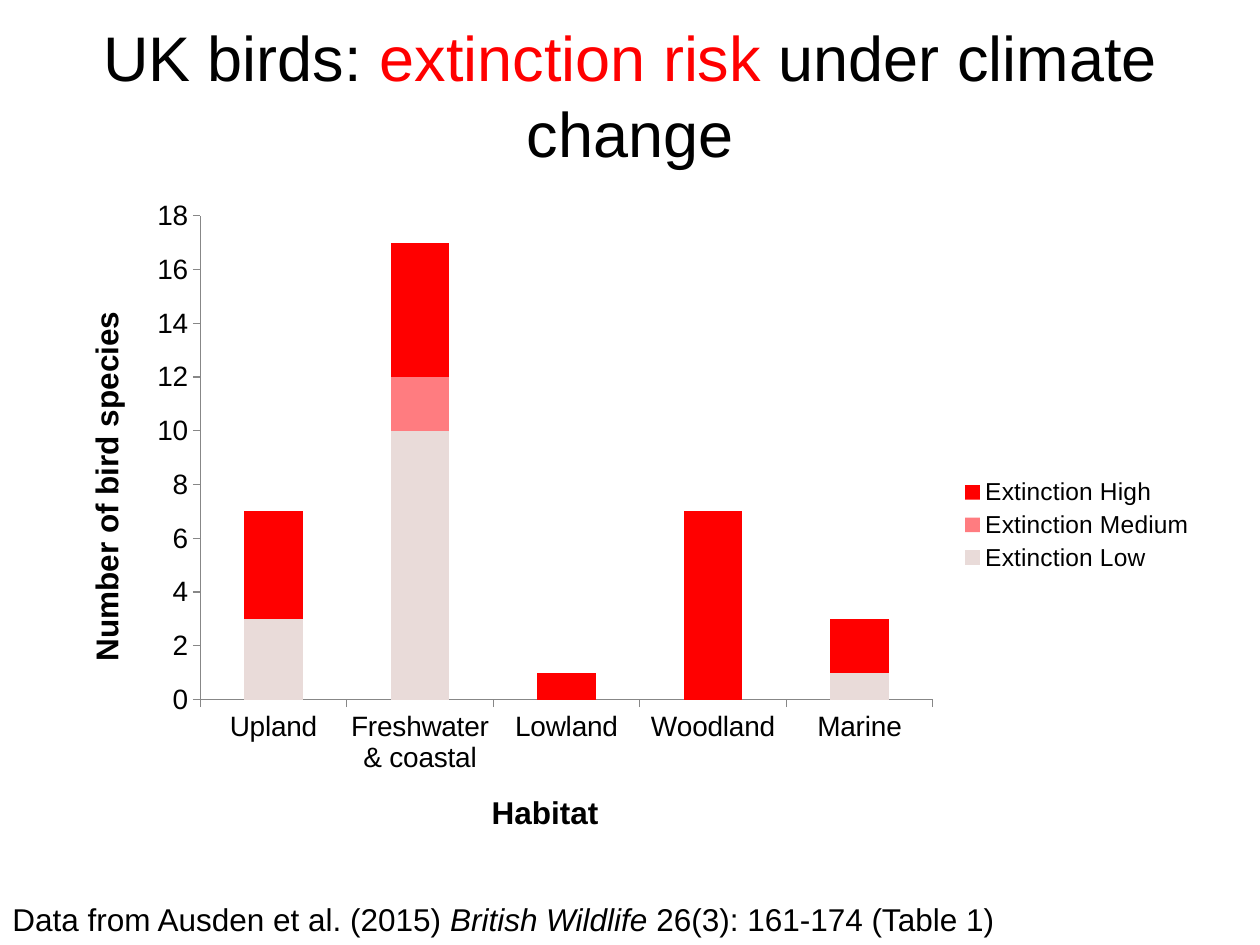
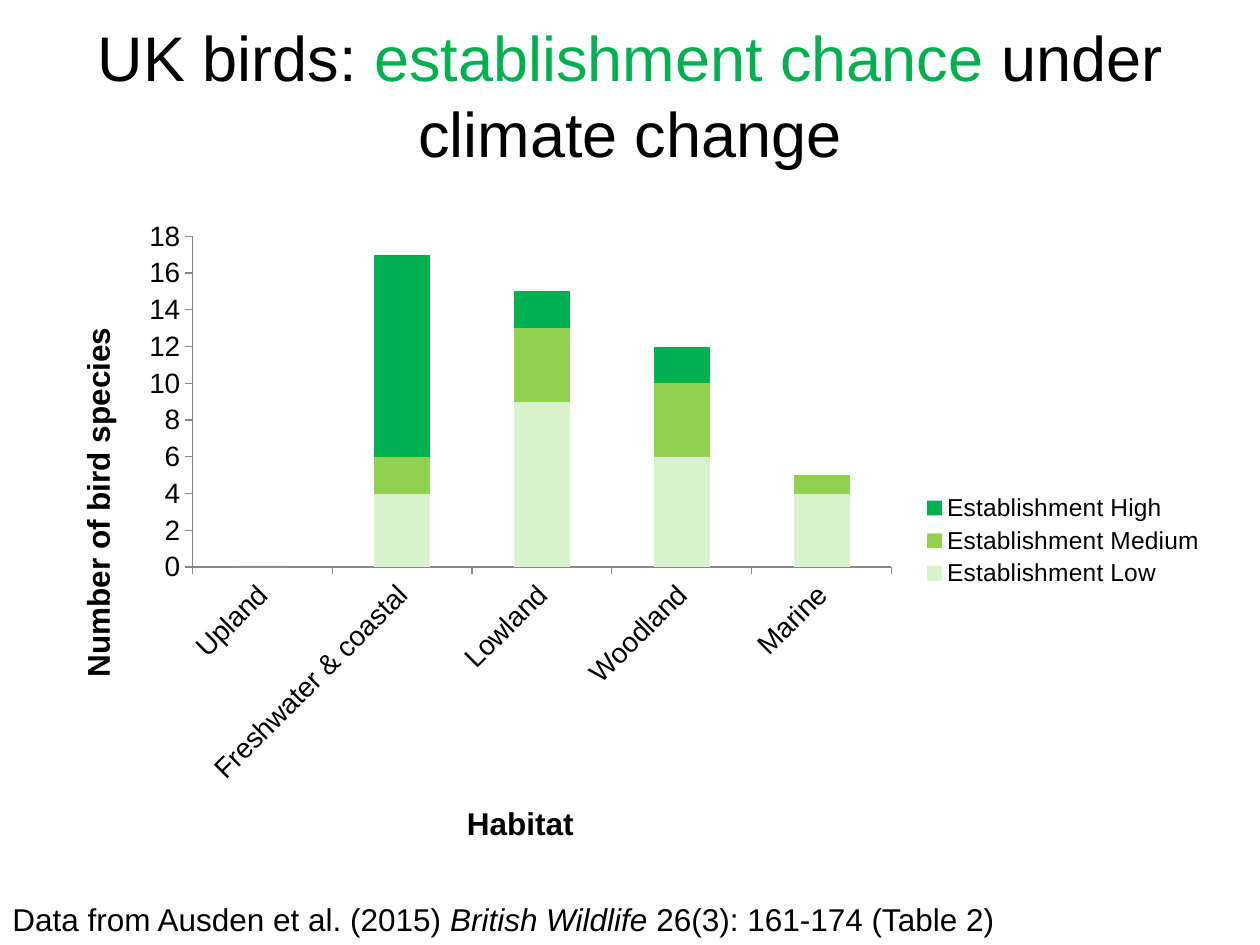
from lxml.etree import SubElement
from pptx import Presentation
from pptx.chart.data import CategoryChartData
from pptx.dml.color import RGBColor
from pptx.enum.chart import XL_CHART_TYPE, XL_LEGEND_POSITION, XL_TICK_MARK
from pptx.enum.text import MSO_ANCHOR, MSO_AUTO_SIZE, PP_ALIGN
from pptx.oxml.ns import qn
from pptx.util import Pt

FONT = "Arial"
BLACK = "000000"
AXIS_GREY = "878787"
HABITATS = ["Upland", "Freshwater & coastal", "Lowland", "Woodland", "Marine"]
LEVELS = ["Low", "Medium", "High"]


def colour(value):
    return RGBColor.from_string(value)


def apply(target, values):
    for name, value in values.items():
        setattr(target, name, value)


def style_font(font, size, shade=BLACK, **values):
    apply(font, {"name": FONT, "size": Pt(size), **values})
    font.color.rgb = colour(shade)


class BirdDeck:
    def __init__(self):
        self.deck = Presentation()
        apply(self.deck, {"slide_width": Pt(720), "slide_height": Pt(540)})
        self.page = None

    def add_page(self):
        self.page = self.deck.slides.add_slide(self.deck.slide_layouts[6])

    def add_text(self, place, spans, size, align, frame_values):
        box = self.page.shapes.add_textbox(*map(Pt, place))
        apply(box.text_frame, frame_values)
        para = box.text_frame.paragraphs[0]
        para.alignment = align
        for text, shade, italic in spans:
            span = para.add_run()
            span.text = text
            style_font(span.font, size, shade, italic=italic)

    def add_title(self, topic, shade):
        spans = [("UK birds: ", BLACK, False), (topic, shade, False),
                 (" under climate change", BLACK, False)]
        self.add_text((36, 12, 648, 84), spans, 36, PP_ALIGN.CENTER,
                      {"word_wrap": True, "vertical_anchor": MSO_ANCHOR.MIDDLE})

    def add_citation(self, table):
        spans = [("Data from Ausden et al. (2015) ", BLACK, False),
                 ("British Wildlife", BLACK, True),
                 (f" 26(3): 161-174 (Table {table})", BLACK, False)]
        self.add_text((0, 511, 581, 29), spans, 18, PP_ALIGN.LEFT,
                      {"word_wrap": False, "auto_size": MSO_AUTO_SIZE.SHAPE_TO_FIT_TEXT})

    def style_axis(self, axis, title, title_angle, label_angle):
        apply(axis, {"has_major_gridlines": False,
                     "major_tick_mark": XL_TICK_MARK.OUTSIDE,
                     "minor_tick_mark": XL_TICK_MARK.NONE})
        axis.format.line.color.rgb = colour(AXIS_GREY)
        axis.format.line.width = Pt(0.75)
        style_font(axis.tick_labels.font, 16)
        frame = axis.axis_title.text_frame
        span = frame.paragraphs[0].add_run()
        span.text = title
        style_font(span.font, 18, bold=True)
        labels = axis._element.find(qn("c:txPr"))
        for element, angle in ((labels, label_angle), (frame._txBody, title_angle)):
            body = element.find(qn("a:bodyPr"))
            body.set("rot", str(angle * 60000))
            body.set("vert", "horz")

    def place_plot(self, chart, area):
        plot_area = chart._chartSpace.chart.plotArea
        for old in plot_area.findall(qn("c:layout")):
            plot_area.remove(old)
        layout = SubElement(plot_area, qn("c:layout"))
        plot_area.insert(0, layout)
        manual = SubElement(layout, qn("c:manualLayout"))
        settings = {"layoutTarget": "inner", "xMode": "edge", "yMode": "edge",
                    **dict(zip("xywh", area))}
        for name, value in settings.items():
            SubElement(manual, qn(f"c:{name}")).set("val", str(value))

    def add_stacked_chart(self, place, area, outcome, counts, shades, label_angle):
        data = CategoryChartData(number_format="General")
        data.categories = HABITATS
        for level, values in zip(LEVELS, counts):
            data.add_series(f"{outcome} {level}", values)
        chart = self.page.shapes.add_chart(
            XL_CHART_TYPE.COLUMN_STACKED, *map(Pt, place), data).chart
        style_font(chart.font, 10)
        apply(chart, {"has_title": False, "has_legend": True})
        apply(chart.legend, {"position": XL_LEGEND_POSITION.RIGHT,
                             "include_in_layout": False})
        style_font(chart.legend.font, 14)
        plot = chart.plots[0]
        apply(plot, {"gap_width": 150, "overlap": 100, "vary_by_categories": False})
        for series, shade in zip(plot.series, shades):
            series.format.fill.solid()
            series.format.fill.fore_color.rgb = colour(shade)
        apply(chart.value_axis, {"minimum_scale": 0, "maximum_scale": 18, "major_unit": 2})
        self.style_axis(chart.category_axis, "Habitat", 0, label_angle)
        self.style_axis(chart.value_axis, "Number of bird species", -90, 0)
        self.place_plot(chart, area)


def main():
    birds = BirdDeck()
    outcomes = [
        {"topic": "extinction risk", "outcome": "Extinction",
         "place": (36, 108, 654, 384), "area": (0.12, 0.04, 0.64, 0.72),
         "counts": [(3, 10, 0, 0, 1), (0, 2, 0, 0, 0), (4, 5, 1, 7, 2)],
         "shades": ["E9DBD9", "FF7C80", "FF0000"], "label_angle": 0},
        {"topic": "establishment chance", "outcome": "Establishment",
         "place": (30, 120, 666, 378), "area": (0.12, 0.04, 0.6, 0.5),
         "counts": [(0, 4, 9, 6, 4), (0, 2, 4, 4, 1), (0, 11, 2, 2, 0)],
         "shades": ["D9F1CD", "92D050", "00B050"], "label_angle": -45},
    ]
    for table, details in enumerate(outcomes, 1):
        birds.add_page()
        birds.add_title(details.pop("topic"), details["shades"][-1])
        birds.add_stacked_chart(**details)
        birds.add_citation(table)
    birds.deck.save("out.pptx")


if __name__ == "__main__":
    main()
